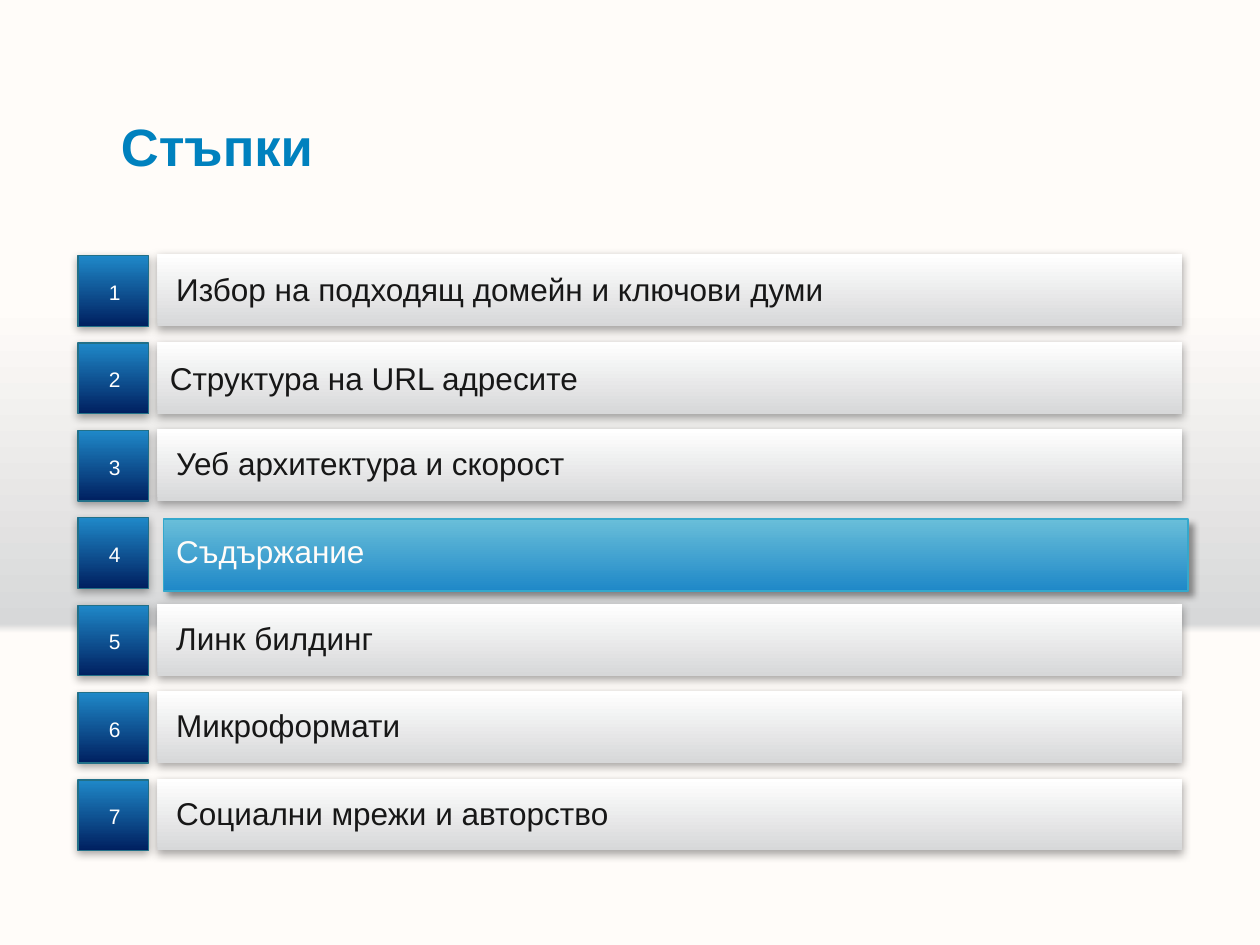
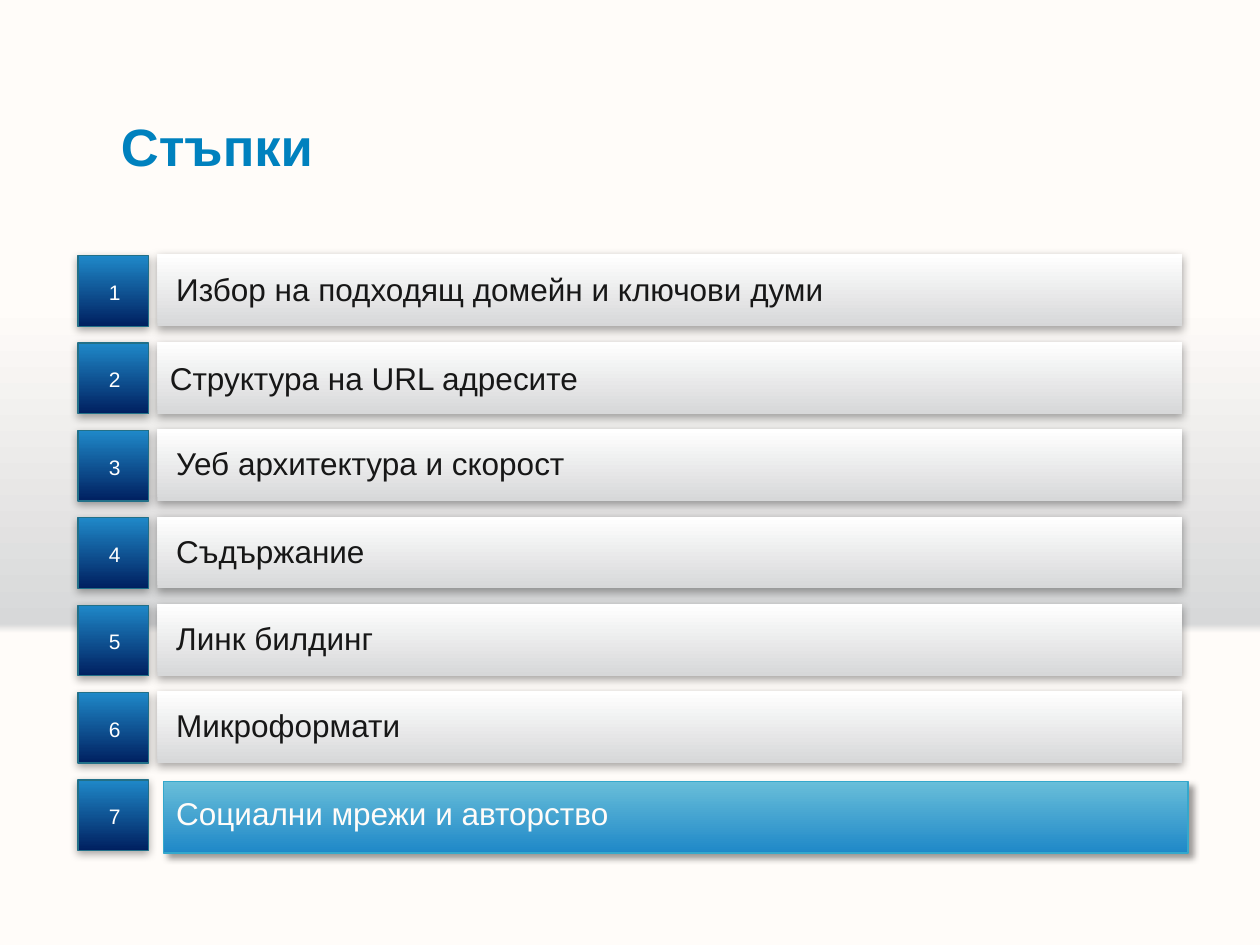
from copy import deepcopy

from lxml.etree import SubElement
from pptx import Presentation
from pptx.dml.color import RGBColor
from pptx.enum.shapes import MSO_SHAPE
from pptx.enum.text import MSO_ANCHOR, MSO_AUTO_SIZE, PP_ALIGN
from pptx.oxml.ns import qn
from pptx.util import Inches, Pt

COLORS = {
    "paper": "FFFCF9",
    "silver": "D7D8D9",
    "white": "FFFFFF",
    "title": "0081BE",
    "ink": "171717",
    "navy": "002060",
    "blue": "1F88C8",
    "sky": "69BED9",
    "tile_edge": "227088",
    "active_edge": "34A8CC",
    "shadow": "000000",
}
FONT = "Arial"
TITLE = "Стъпки"
STEPS = [
    "Избор на подходящ домейн и ключови думи",
    "Структура на URL адресите",
    "Уеб архитектура и скорост",
    "Съдържание",
    "Линк билдинг",
    "Микроформати",
    "Социални мрежи и авторство",
]
LABEL_IN_BAR = 2
ACTIVE_STEPS = [4, 7]
TITLE_BOX = (0.96, 0.85, 2.92, 0.66)
LIST_BOX = (0.62, 2.03, 8.76, 4.72)
TILE = 0.56
BAR_HEIGHT = 0.57
BAR_INDENT = 0.63
SOFT_SHADOW = (35, 5, 1.8, 90)
ACTIVE_SHADOW = (40, 4, 3, 45)


def rgb(name):
    """Return the palette colour with this name."""
    return RGBColor.from_string(COLORS[name])


def paint_gradient(fill, owner, stops, angle=90):
    """Fill with (position, colour) stops at a counter-clockwise angle."""
    fill.gradient()
    fill.gradient_angle = angle
    stop_list = owner.find(".//" + qn("a:gsLst"))
    while len(stop_list) < len(stops):
        stop_list.append(deepcopy(stop_list[-1]))
    for stop, (position, color) in zip(fill.gradient_stops, stops):
        stop.position = position
        stop.color.rgb = rgb(color)


def cast_shadow(shape, opacity, blur, distance, direction):
    """Give a shape an outer shadow, with lengths in points."""
    shape.shadow.inherit = False
    effects = shape._element.spPr.find(qn("a:effectLst"))
    outer = SubElement(effects, qn("a:outerShdw"), blurRad=str(Pt(blur)),
                       dist=str(Pt(distance)), dir=str(direction * 60000),
                       algn="ctr", rotWithShape="0")
    color = SubElement(outer, qn("a:srgbClr"), val=COLORS["shadow"])
    SubElement(color, qn("a:alpha"), val=str(opacity * 1000))


def add_panel(shapes, box, bottom, top, shadow, edge=None):
    """Add a rectangle shaded from its bottom colour to its top colour."""
    panel = shapes.add_shape(MSO_SHAPE.RECTANGLE, *map(Inches, box))
    paint_gradient(panel.fill, panel._element, [(0, bottom), (1, top)])
    if edge:
        panel.line.color.rgb = rgb(edge)
        panel.line.width = Pt(0.75)
    else:
        panel.line.fill.background()
    cast_shadow(panel, *shadow)
    return panel


def write(frame, text, size, color, align=PP_ALIGN.LEFT, bold=False):
    """Write one run of text into a frame."""
    frame.word_wrap = True
    paragraph = frame.paragraphs[0]
    paragraph.alignment = align
    run = paragraph.add_run()
    run.text = text
    run.font.name = FONT
    run.font.size = Pt(size)
    run.font.bold = bold
    run.font.color.rgb = rgb(color)


def add_label(shapes, box, text, size, color, align=PP_ALIGN.LEFT):
    """Add a text box that grows with its text."""
    frame = shapes.add_textbox(*map(Inches, box)).text_frame
    write(frame, text, size, color, align)
    frame.auto_size = MSO_AUTO_SIZE.SHAPE_TO_FIT_TEXT


def add_title(slide, box):
    """Place and format the title placeholder."""
    title = slide.shapes.title
    title.left, title.top, title.width, title.height = map(Inches, box)
    frame = title.text_frame
    write(frame, TITLE, 30, "title", bold=True)
    frame.auto_size = MSO_AUTO_SIZE.NONE
    frame.vertical_anchor = MSO_ANCHOR.MIDDLE
    frame.margin_left = frame.margin_right = 0
    frame.paragraphs[0].line_spacing = 0.95


def add_step_bar(slide, box, number, active):
    """Add the bar and the label of one step, highlighted when active."""
    left, top, width, height = box
    if active:
        bar_box = (left + 0.05, top + 0.01, width, height)
        bar = add_panel(slide.shapes, bar_box, "blue", "sky", ACTIVE_SHADOW, "active_edge")
    else:
        bar_box = (left, top - 0.01, width, height)
        bar = add_panel(slide.shapes, bar_box, "silver", "white", SOFT_SHADOW)
    text, color = STEPS[number - 1], "paper" if active else "ink"
    if number == LABEL_IN_BAR:
        bar.text_frame.vertical_anchor = MSO_ANCHOR.MIDDLE
        write(bar.text_frame, text, 18, color)
    else:
        add_label(slide.shapes, (left + 0.05, top + 0.06, 6.49, 0.4), text, 18, color)


def add_number_tile(shapes, left, top, number):
    """Add the square tile with the number of a step."""
    add_panel(shapes, (left, top, TILE, TILE), "navy", "blue", SOFT_SHADOW, "tile_edge")
    add_label(shapes, (left + 0.03, top + 0.14, 0.52, 0.3), str(number), 12,
              "white", PP_ALIGN.CENTER)


def add_step_list(slide, box, active_step):
    """Spread the steps evenly down the box."""
    left, top, width, height = box
    pitch = (height - TILE) / (len(STEPS) - 1)
    tiles = slide.shapes.add_group_shape().shapes
    for number in range(1, len(STEPS) + 1):
        row_top = top + (number - 1) * pitch
        bar_box = (left + BAR_INDENT, row_top, width - BAR_INDENT, BAR_HEIGHT)
        add_step_bar(slide, bar_box, number, number == active_step)
        add_number_tile(tiles, left, row_top, number)


def add_steps_slide(prs, active_step):
    """Add a slide that highlights one step of the list."""
    slide = prs.slides.add_slide(prs.slide_layouts.get_by_name("Title Only"))
    add_title(slide, TITLE_BOX)
    add_step_list(slide, LIST_BOX, active_step)


def main():
    """Build the deck."""
    prs = Presentation()
    prs.slide_width, prs.slide_height = Inches(10), Inches(7.5)
    master = prs.slide_master
    paint_gradient(master.background.fill, master.element,
                   [(0.33, "paper"), (0.34, "silver"), (0.68, "paper")])
    for active_step in ACTIVE_STEPS:
        add_steps_slide(prs, active_step)
    prs.save("out.pptx")


if __name__ == "__main__":
    main()
